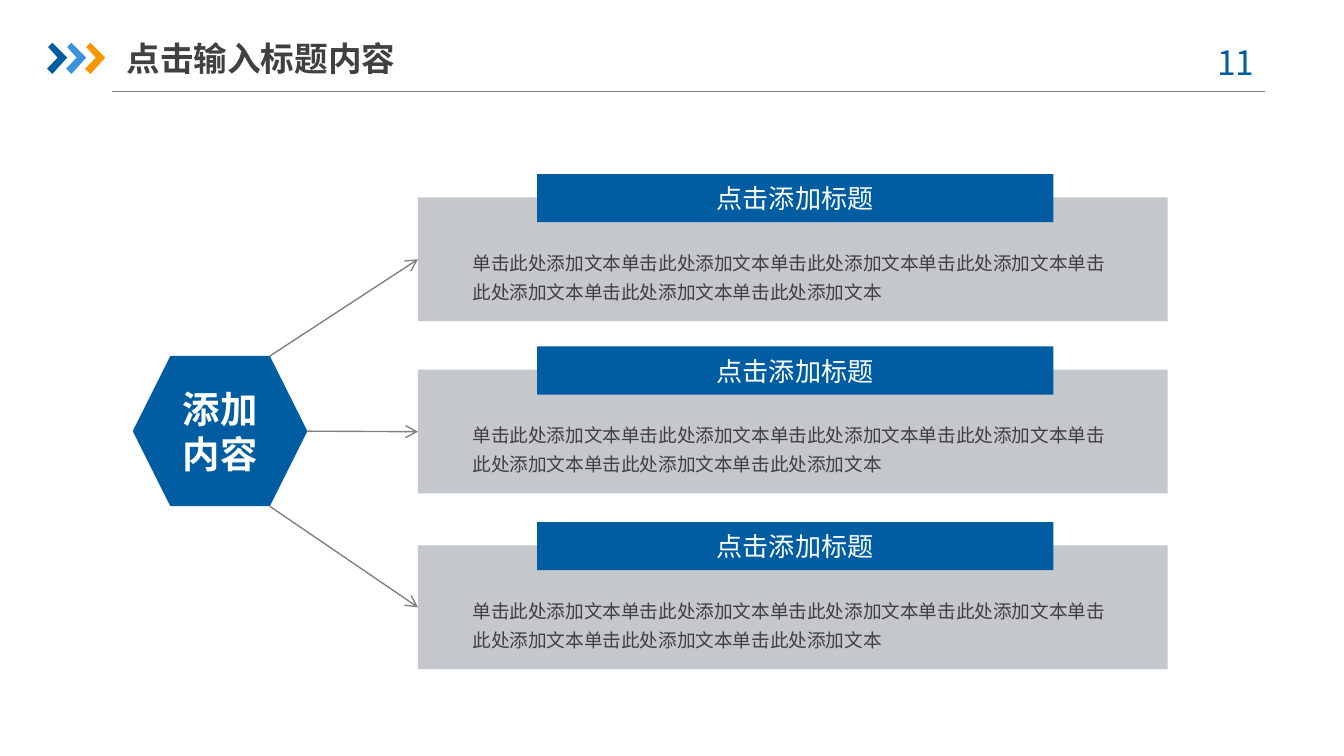
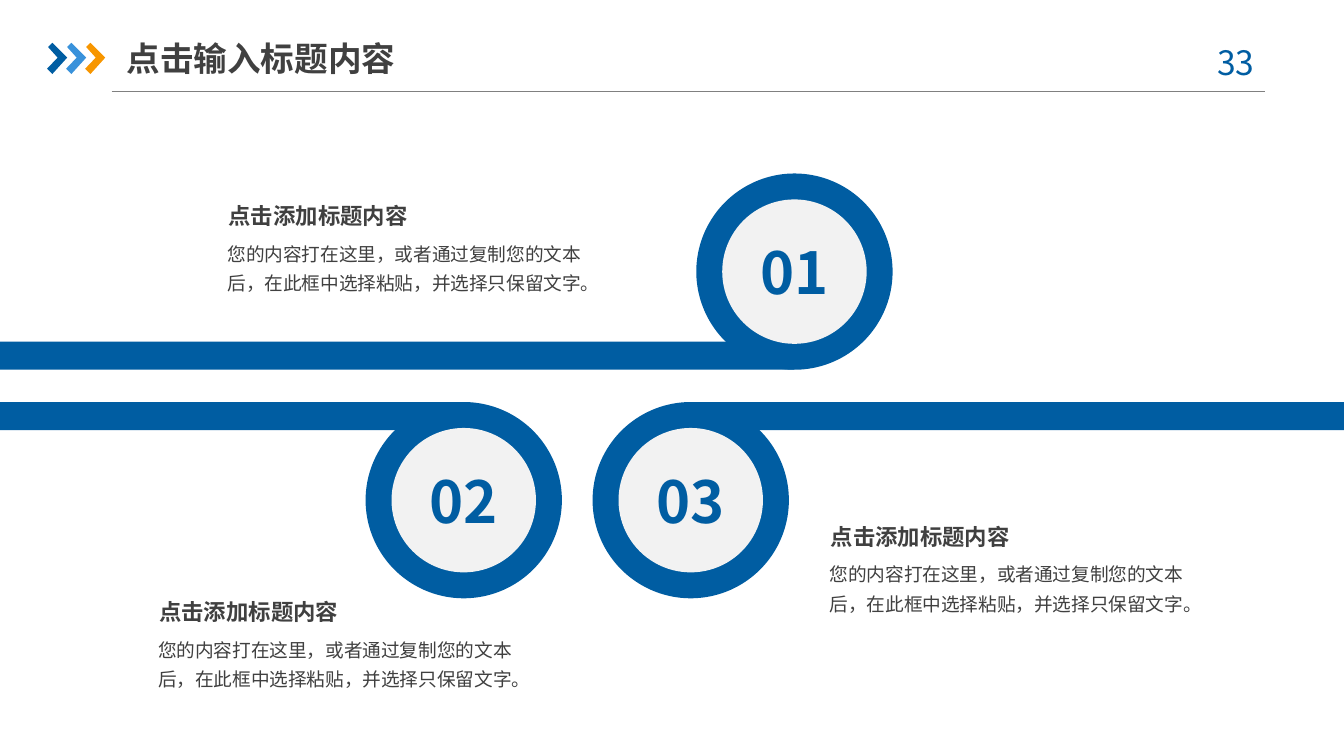
"""Build a hub-and-panels slide and a numbered-rings slide with a shared header."""
from dataclasses import dataclass
from typing import Any

from lxml import etree
from pptx import Presentation
from pptx.dml.color import RGBColor
from pptx.enum.shapes import MSO_CONNECTOR, MSO_SHAPE
from pptx.enum.text import MSO_ANCHOR, MSO_AUTO_SIZE, PP_ALIGN
from pptx.oxml.ns import qn
from pptx.util import Cm, Pt

RECTANGLE, HEXAGON, OVAL = MSO_SHAPE.RECTANGLE, MSO_SHAPE.HEXAGON, MSO_SHAPE.OVAL
STRAIGHT = MSO_CONNECTOR.STRAIGHT
TOP, MIDDLE = MSO_ANCHOR.TOP, MSO_ANCHOR.MIDDLE
LEFT, CENTER = PP_ALIGN.LEFT, PP_ALIGN.CENTER
NO_FIT, GROW = MSO_AUTO_SIZE.NONE, MSO_AUTO_SIZE.SHAPE_TO_FIT_TEXT

BLUE = RGBColor(0x00, 0x5D, 0xA2)
LIGHT_BLUE = RGBColor(0x39, 0x92, 0xDB)
ORANGE = RGBColor(0xF7, 0x96, 0x00)
DARK = RGBColor(0x40, 0x40, 0x40)
GRAY = RGBColor(0x80, 0x80, 0x80)
PANEL_GRAY = RGBColor(0xC4, 0xC7, 0xCB)
PALE = RGBColor(0xF2, 0xF2, 0xF2)
WHITE = RGBColor(0xFF, 0xFF, 0xFF)

FONT = "Noto Sans CJK SC"
SLIDE_WIDTH, SLIDE_HEIGHT = 25.4, 14.29

TITLE = "点击输入标题内容"
PANEL_HEADING = "点击添加标题"
PANEL_BODY = "单击此处添加文本" * 7
RING_HEADING = "点击添加标题内容"
RING_BODY = "您的内容打在这里，或者通过复制您的文本后，在此框中选择粘贴，并选择只保留文字。"

CHEVRON_POINTS = [(0.91, 0.89), (0.99, 0.81), (1.27, 1.09),
                  (0.99, 1.4), (0.89, 1.3), (1.09, 1.09)]
CHEVRON_PITCH = 0.36


@dataclass(frozen=True)
class Box:
    """Position and size in centimetres."""

    left: float
    top: float
    width: float
    height: float

    def lengths(self) -> tuple:
        """Return the four values as lengths."""
        return Cm(self.left), Cm(self.top), Cm(self.width), Cm(self.height)


@dataclass(frozen=True)
class TextStyle:
    """Look of a block of text, with insets in centimetres."""

    size: float
    color: RGBColor
    bold: bool = False
    alignment: Any = LEFT
    anchor: Any = TOP
    line_spacing: float = 1.0
    wrap: bool = True
    fit: Any = NO_FIT
    inset_x: float = 0.2
    inset_y: float = 0.1


@dataclass(frozen=True)
class Ring:
    """A numbered ring, its bar and the corner of its caption."""

    number: str
    left: float
    top: float
    bar_top: float
    bar_from_right: bool
    caption_left: float
    caption_top: float


TITLE_STYLE = TextStyle(18, DARK, bold=True, anchor=MIDDLE, inset_x=0, inset_y=0.13)
NUMBER_STYLE = TextStyle(18, BLUE, alignment=CENTER, fit=GROW, inset_x=0.25, inset_y=0.13)
PANEL_HEADING_STYLE = TextStyle(14, WHITE, alignment=CENTER, anchor=MIDDLE)
HUB_STYLE = TextStyle(20, WHITE, bold=True, alignment=CENTER, anchor=MIDDLE)
BODY_STYLE = TextStyle(10, DARK, line_spacing=1.3, fit=GROW)
CAPTION_STYLE = TextStyle(12, DARK, bold=True, wrap=False, fit=GROW)
RING_STYLE = TextStyle(31, BLUE, bold=True, alignment=CENTER, anchor=MIDDLE, inset_x=0.25)

HUB = Box(2.51, 6.73, 3.3, 2.84)
HUB_CORNER = HUB.height / 4
PANEL_LEFT, PANEL_WIDTH, PANEL_HEIGHT = 7.9, 14.17, 2.34
PANEL_TOPS = (3.73, 6.99, 10.31)

RING_SIZE, RING_BAND, BAR_HEIGHT = 3.71, 0.49, 0.53
RINGS = [
    Ring("02", 6.91, 7.6, 7.6, False, 2.79, 11.2),
    Ring("01", 13.16, 3.28, 6.46, False, 4.1, 3.73),
    Ring("03", 11.2, 7.6, 7.6, True, 15.48, 9.78),
]


def apply_format(target: Any, values: dict[str, Any]) -> None:
    """Set every named attribute on the target."""
    for name, value in values.items():
        setattr(target, name, value)


def write_text(shape: Any, text: str, style: TextStyle) -> None:
    """Put styled text into a shape."""
    frame = shape.text_frame
    apply_format(frame, {
        "text": text,
        "word_wrap": style.wrap,
        "auto_size": style.fit,
        "vertical_anchor": style.anchor,
        "margin_left": Cm(style.inset_x),
        "margin_right": Cm(style.inset_x),
        "margin_top": Cm(style.inset_y),
        "margin_bottom": Cm(style.inset_y),
    })
    paragraph = frame.paragraphs[0]
    apply_format(paragraph, {"alignment": style.alignment, "line_spacing": style.line_spacing})
    font = paragraph.runs[0].font
    apply_format(font, {"size": Pt(style.size), "bold": style.bold, "name": FONT})
    font.color.rgb = style.color
    properties = paragraph.runs[0]._r.get_or_add_rPr()
    etree.SubElement(properties, qn("a:ea")).set("typeface", FONT)


def paint(shape: Any, color: RGBColor) -> None:
    """Give a shape a flat fill without line or shadow."""
    shape.shadow.inherit = False
    shape.fill.solid()
    shape.fill.fore_color.rgb = color
    shape.line.fill.background()


def add_block(slide: Any, kind: Any, box: Box, color: RGBColor) -> Any:
    """Add a flat preset shape."""
    shape = slide.shapes.add_shape(kind, *box.lengths())
    paint(shape, color)
    return shape


def add_label(slide: Any, box: Box, text: str, style: TextStyle) -> None:
    """Add a text box."""
    write_text(slide.shapes.add_textbox(*box.lengths()), text, style)


def add_line(slide: Any, start: tuple[float, float], end: tuple[float, float],
             arrow: bool = False) -> None:
    """Add a thin gray line, with an arrowhead at its end if asked."""
    connector = slide.shapes.add_connector(
        STRAIGHT, *(Cm(value) for value in (*start, *end)))
    connector.line.color.rgb = GRAY
    connector.line.width = Pt(0.75)
    properties = connector._element.spPr
    if arrow:
        etree.SubElement(properties.find(qn("a:ln")), qn("a:tailEnd")).set("type", "arrow")
    etree.SubElement(properties, qn("a:effectLst"))


def add_chevron(slide: Any, offset: float, color: RGBColor) -> None:
    """Add one chevron of the header mark."""
    points = [(Cm(x + offset), Cm(y)) for x, y in CHEVRON_POINTS]
    builder = slide.shapes.build_freeform(*points[0])
    builder.add_line_segments(points[1:], close=True)
    paint(builder.convert_to_shape(), color)


def add_titled_slide(presentation: Any, number: int) -> Any:
    """Add a slide with the shared header."""
    slide = presentation.slides.add_slide(presentation.slide_layouts.get_by_name("Title Only"))
    add_line(slide, (2.11, 1.73), (23.9, 1.73))
    for index, color in enumerate((BLUE, LIGHT_BLUE, ORANGE)):
        add_chevron(slide, index * CHEVRON_PITCH, color)
    add_label(slide, Box(22.43, 0.66, 1.85, 1.02), str(number), NUMBER_STYLE)
    title = slide.shapes.title
    title_box = Box(2.39, 0.56, 5.92, 1.07)
    apply_format(title, dict(zip(("left", "top", "width", "height"), title_box.lengths())))
    write_text(title, TITLE, TITLE_STYLE)
    return slide


def add_panel(slide: Any, top: float) -> None:
    """Add a gray panel with its heading band and body text."""
    add_block(slide, RECTANGLE, Box(PANEL_LEFT, top, PANEL_WIDTH, PANEL_HEIGHT), PANEL_GRAY)
    band = add_block(slide, RECTANGLE, Box(10.15, top - 0.44, 9.76, 0.91), BLUE)
    write_text(band, PANEL_HEADING, PANEL_HEADING_STYLE)
    add_label(slide, Box(8.73, top + 0.8, 12.6, 1.25), PANEL_BODY, BODY_STYLE)


def add_ring(slide: Any, ring: Ring) -> None:
    """Add a bar from the slide edge, its numbered ring and its caption."""
    center = ring.left + RING_SIZE / 2
    start, end = (center, SLIDE_WIDTH) if ring.bar_from_right else (0, center)
    add_block(slide, RECTANGLE, Box(start, ring.bar_top, end - start, BAR_HEIGHT), BLUE)
    add_block(slide, OVAL, Box(ring.left, ring.top, RING_SIZE, RING_SIZE), BLUE)
    core_size = RING_SIZE - 2 * RING_BAND
    core_box = Box(ring.left + RING_BAND, ring.top + RING_BAND, core_size, core_size)
    write_text(add_block(slide, OVAL, core_box, PALE), ring.number, RING_STYLE)
    left, top = ring.caption_left, ring.caption_top
    add_label(slide, Box(left, top + 0.64, 7.24, 1.32), RING_BODY, BODY_STYLE)
    add_label(slide, Box(left + 0.02, top, 3.81, 0.71), RING_HEADING, CAPTION_STYLE)


def build_panels_slide(presentation: Any) -> None:
    """Build the hub with arrows to three panels."""
    slide = add_titled_slide(presentation, 11)
    write_text(add_block(slide, HEXAGON, HUB, BLUE), "添加内容", HUB_STYLE)
    right = HUB.left + HUB.width
    starts = [(right - HUB_CORNER, HUB.top),
              (right, HUB.top + HUB.height / 2),
              (right - HUB_CORNER, HUB.top + HUB.height)]
    for start, top in zip(starts, PANEL_TOPS):
        add_panel(slide, top)
        add_line(slide, start, (PANEL_LEFT, top + PANEL_HEIGHT / 2), arrow=True)


def build_rings_slide(presentation: Any) -> None:
    """Build the three numbered rings."""
    slide = add_titled_slide(presentation, 33)
    for ring in RINGS:
        add_ring(slide, ring)


def main() -> None:
    """Build and save the presentation."""
    presentation = Presentation()
    apply_format(presentation, {"slide_width": Cm(SLIDE_WIDTH), "slide_height": Cm(SLIDE_HEIGHT)})
    build_panels_slide(presentation)
    build_rings_slide(presentation)
    presentation.save("out.pptx")


if __name__ == "__main__":
    main()
